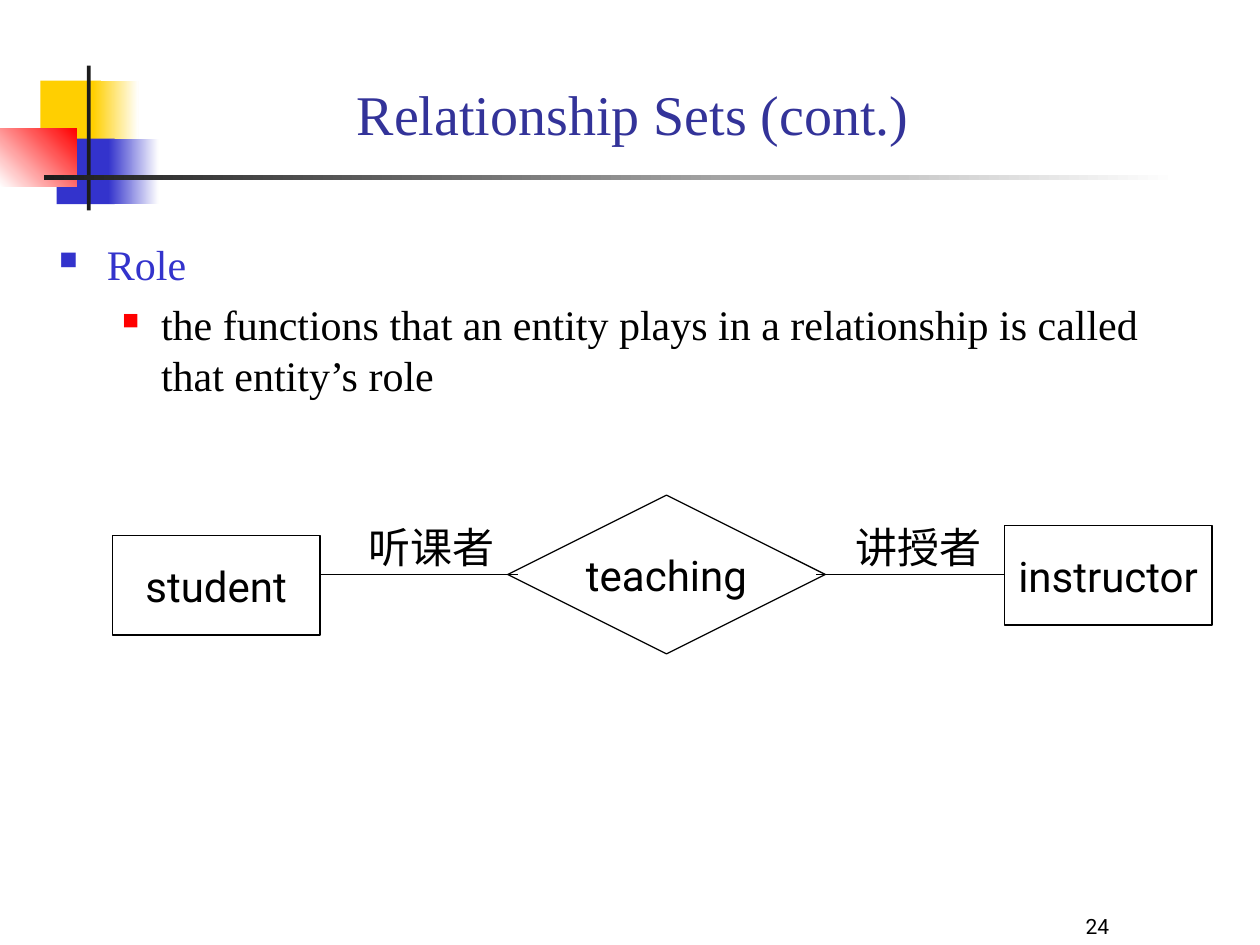
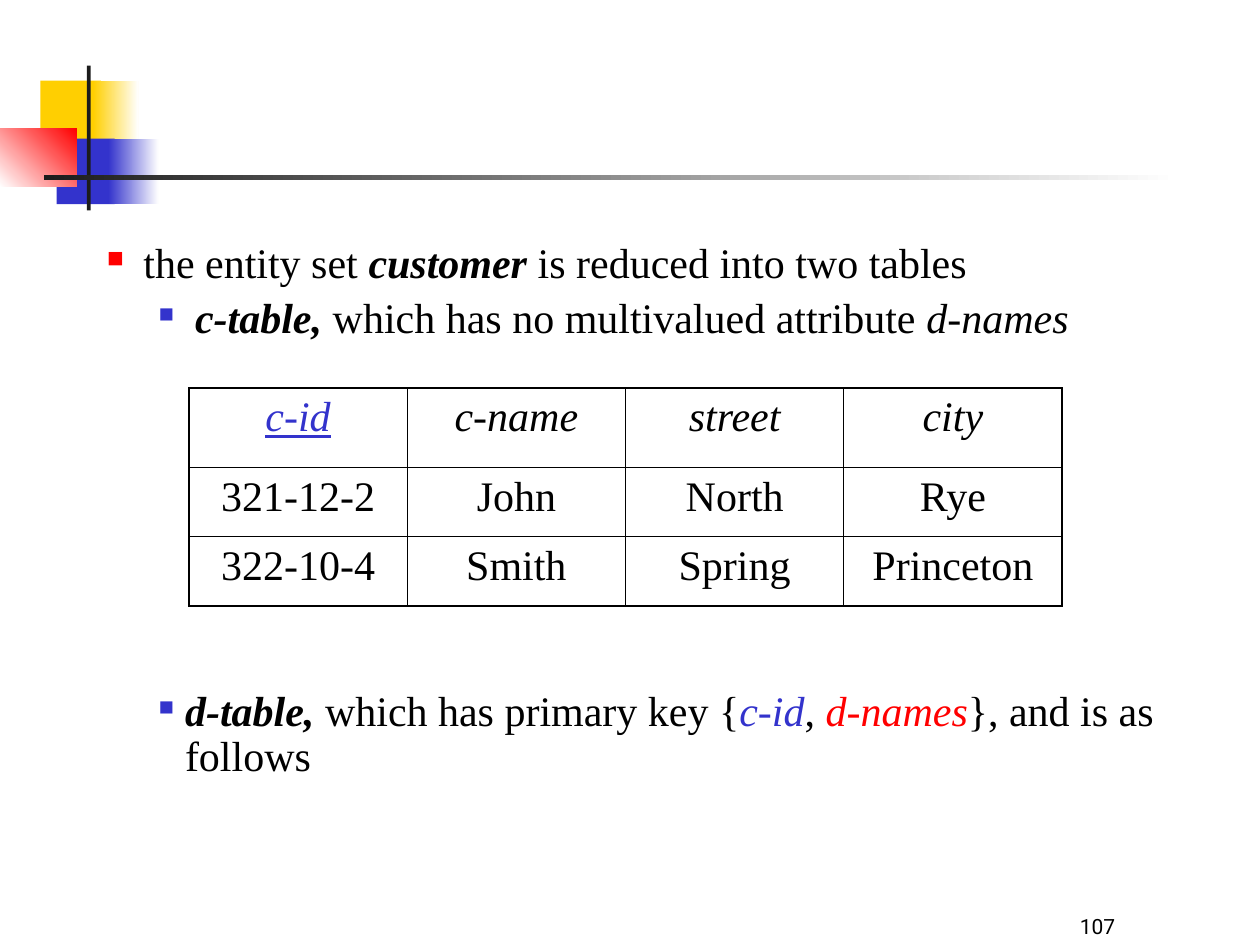
from dataclasses import dataclass
from lxml import etree
from pptx import Presentation
from pptx.dml.color import RGBColor
from pptx.enum import shapes, text
from pptx.oxml import ns
from pptx.util import Inches, Pt


@dataclass(frozen=True)
class Theme:
    serif: str = "Times New Roman"
    sans: str = "Roboto"
    black: str = "000000"
    white: str = "FFFFFF"
    ink: str = "1C1C1C"
    blue: str = "3333CC"
    title_blue: str = "333399"
    red: str = "FF0000"
    yellow: str = "FFCF01"
    title_size: int = 32
    body_size: int = 24
    number_size: int = 12
    diagram_line: float = 0.75
    outer_border: float = 1.08
    inner_border: float = 0.45


THEME = Theme()
CENTER = text.PP_ALIGN.CENTER
MIDDLE = text.MSO_ANCHOR.MIDDLE


def rgb(color):
    return RGBColor.from_string(color)


def inches(box):
    return [Inches(length) for length in box]


def child(parent, tag, **attributes):
    return etree.SubElement(parent, ns.qn(tag), attributes)


def add_bullet(paragraph, color, percent, margin, hanging):
    props = paragraph._p.get_or_add_pPr()
    props.set("marL", str(Inches(margin)))
    props.set("indent", str(-Inches(hanging)))
    child(child(props, "a:buClr"), "a:srgbClr", val=color)
    child(props, "a:buSzPct", val=str(percent * 1000))
    child(props, "a:buChar", char="■")


def write(paragraph, content, font=THEME.serif, size=THEME.body_size, color=THEME.black,
          bold=False, italic=False, underline=False, align=None):
    if align is not None:
        paragraph.alignment = align
    run = paragraph.add_run()
    run.text = content
    run.font.name = font
    run.font.size = Pt(size)
    run.font.color.rgb = rgb(color)
    run.font.bold = bold
    run.font.italic = italic
    run.font.underline = underline


def add_text(slide, box, content, anchor=text.MSO_ANCHOR.TOP, wrap=True, **style):
    frame = slide.shapes.add_textbox(*inches(box)).text_frame
    frame.word_wrap = wrap
    frame.vertical_anchor = anchor
    write(frame.paragraphs[0], content, **style)


def add_outline(slide, box, items, line_spacing=None):
    frame = slide.shapes.add_textbox(*inches(box)).text_frame
    frame.word_wrap = True
    for index, (bullet, runs) in enumerate(items):
        paragraph = frame.add_paragraph() if index else frame.paragraphs[0]
        add_bullet(paragraph, *bullet)
        if index:
            paragraph.space_before = Pt(6)
        if line_spacing:
            paragraph.line_spacing = line_spacing
        for content, style in runs:
            write(paragraph, content, **style)


def add_block(slide, box, start, end=None, angle=0):
    block = slide.shapes.add_shape(shapes.MSO_SHAPE.RECTANGLE, *inches(box))
    block.shadow.inherit = False
    block.line.fill.background()
    if end is None:
        block.fill.solid()
        block.fill.fore_color.rgb = rgb(start)
        return
    block.fill.gradient()
    block.fill.gradient_angle = angle
    for stop, position, color in zip(block.fill.gradient_stops, (0, 1), (start, end)):
        stop.position = position
        stop.color.rgb = rgb(color)


def add_emblem(slide, left, top):
    blocks = [
        ((0.32, 0.12, 0.48, 0.52), THEME.yellow),
        ((0.74, 0.12, 0.36, 0.52), THEME.yellow, THEME.white),
        ((0.45, 0.58, 0.46, 0.52), THEME.blue),
        ((0.86, 0.58, 0.40, 0.52), THEME.blue, THEME.white),
        ((0, 0.50, 0.61, 0.46), THEME.white, THEME.red, 45),
        ((0.69, 0, 0.03, 1.15), THEME.ink),
        ((0.35, 0.87, 9, 0.04), THEME.ink, THEME.white),
    ]
    for (x, y, width, height), *colors in blocks:
        add_block(slide, (left + x, top + y, width, height), *colors)


def add_page(deck, number, title=None):
    slide = deck.slides.add_slide(deck.slide_layouts[6])
    add_emblem(slide, 0, 0.52)
    if title:
        add_text(slide, (0.9, 0.52, 8.25, 0.75), title, anchor=MIDDLE, align=CENTER,
                 size=THEME.title_size, color=THEME.title_blue)
    add_text(slide, (7.67, 7, 2.08, 0.5), number, anchor=text.MSO_ANCHOR.BOTTOM,
             align=CENTER, font=THEME.sans, size=THEME.number_size)
    return slide


def add_node(slide, kind, box, label):
    node = slide.shapes.add_shape(kind, *inches(box))
    node.shadow.inherit = False
    node.fill.background()
    node.line.color.rgb = rgb(THEME.black)
    node.line.width = Pt(THEME.diagram_line)
    frame = node.text_frame
    frame.word_wrap = False
    frame.vertical_anchor = MIDDLE
    write(frame.paragraphs[0], label, font=THEME.sans, align=CENTER)


def add_link(slide, start, end, y):
    link = slide.shapes.add_connector(shapes.MSO_CONNECTOR.STRAIGHT,
                                      *inches((start, y, end, y)))
    link.line.color.rgb = rgb(THEME.black)
    link.line.width = Pt(THEME.diagram_line)
    child(link._element.spPr, "a:effectLst")


def add_role_diagram(slide, left, top):
    entity, relationship = shapes.MSO_SHAPE.RECTANGLE, shapes.MSO_SHAPE.DIAMOND
    nodes = [
        (entity, (0, 0.32, 1.65, 0.79), "student"),
        (entity, (7.08, 0.24, 1.65, 0.79), "instructor"),
        (relationship, (3.14, 0, 2.52, 1.26), "teaching"),
    ]
    for kind, (x, y, width, height), label in nodes:
        add_node(slide, kind, (left + x, top + y, width, height), label)
    roles = [(1.65, 3.22, 1.94, "听课者"), (5.59, 7.08, 5.8, "讲授者")]
    for start, end, label_left, role in roles:
        add_link(slide, left + start, left + end, top + 0.63)
        add_text(slide, (left + label_left, top + 0.16, 1.2, 0.5), role,
                 wrap=False, font=THEME.sans)


def set_borders(cell, widths):
    props = cell._tc.get_or_add_tcPr()
    for side, width in zip("LRTB", widths):
        line = child(props, f"a:ln{side}", w=str(Pt(width)))
        child(child(line, "a:solidFill"), "a:srgbClr", val=THEME.black)


def add_customer_table(slide, box, rows, row_heights):
    table = slide.shapes.add_table(len(rows), len(rows[0]), *inches(box)).table
    table.first_row = table.horz_banding = False
    for column in table.columns:
        column.width = Inches(box[2] / len(rows[0]))
    for r, (values, height) in enumerate(zip(rows, row_heights)):
        table.rows[r].height = Inches(height)
        for c, value in enumerate(values):
            cell = table.cell(r, c)
            edges = (c == 0, c == len(values) - 1, r == 0, r == len(rows) - 1)
            set_borders(cell, [THEME.outer_border if edge else THEME.inner_border
                               for edge in edges])
            cell.fill.background()
            is_key = r == c == 0
            write(cell.text_frame.paragraphs[0], value, align=CENTER, italic=r == 0,
                  underline=is_key, color=THEME.blue if is_key else THEME.black)


def build_roles(deck):
    slide = add_page(deck, "24", "Relationship Sets (cont.)")
    add_outline(slide, (0.37, 1.84, 9.25, 1.6), [
        ((THEME.blue, 60, 0.38, 0.38), [("Role", {"color": THEME.blue})]),
        ((THEME.red, 55, 0.81, 0.31), [
            ("the functions that an entity plays in a relationship is called "
             "that entity’s role", {})]),
    ])
    add_role_diagram(slide, 0.89, 3.93)


def build_reduction(deck):
    slide = add_page(deck, "107")
    strong = {"bold": True, "italic": True}
    add_outline(slide, (0.33, 1.87, 9.25, 1), [
        ((THEME.red, 55, 0.71, 0.29), [
            ("the entity set ", {}), ("customer", strong),
            (" is reduced into two tables", {})]),
        ((THEME.blue, 50, 1.12, 0.29), [
            ("c-table, ", strong), ("which has no multivalued attribute ", {}),
            ("d-names", {"italic": True})]),
    ], line_spacing=0.9)
    add_customer_table(slide, (1.5, 3.08, 6.93, 1.73), [
        ("c-id", "c-name", "street", "city"),
        ("321-12-2", "John", "North", "Rye"),
        ("322-10-4", "Smith", "Spring", "Princeton"),
    ], (0.63, 0.55, 0.55))
    add_outline(slide, (0.33, 5.43, 9.25, 0.9), [
        ((THEME.blue, 50, 1.04, 0.21), [
            ("d-table, ", strong), ("which has primary key {", {}),
            ("c-id", {"italic": True, "color": THEME.blue}), (", ", {}),
            ("d-names", {"italic": True, "color": THEME.red}),
            ("}, and is as follows", {})]),
    ], line_spacing=0.9)


def main():
    deck = Presentation()
    deck.slide_width, deck.slide_height = Inches(10), Inches(7.5)
    build_roles(deck)
    build_reduction(deck)
    deck.save("out.pptx")


if __name__ == "__main__":
    main()
